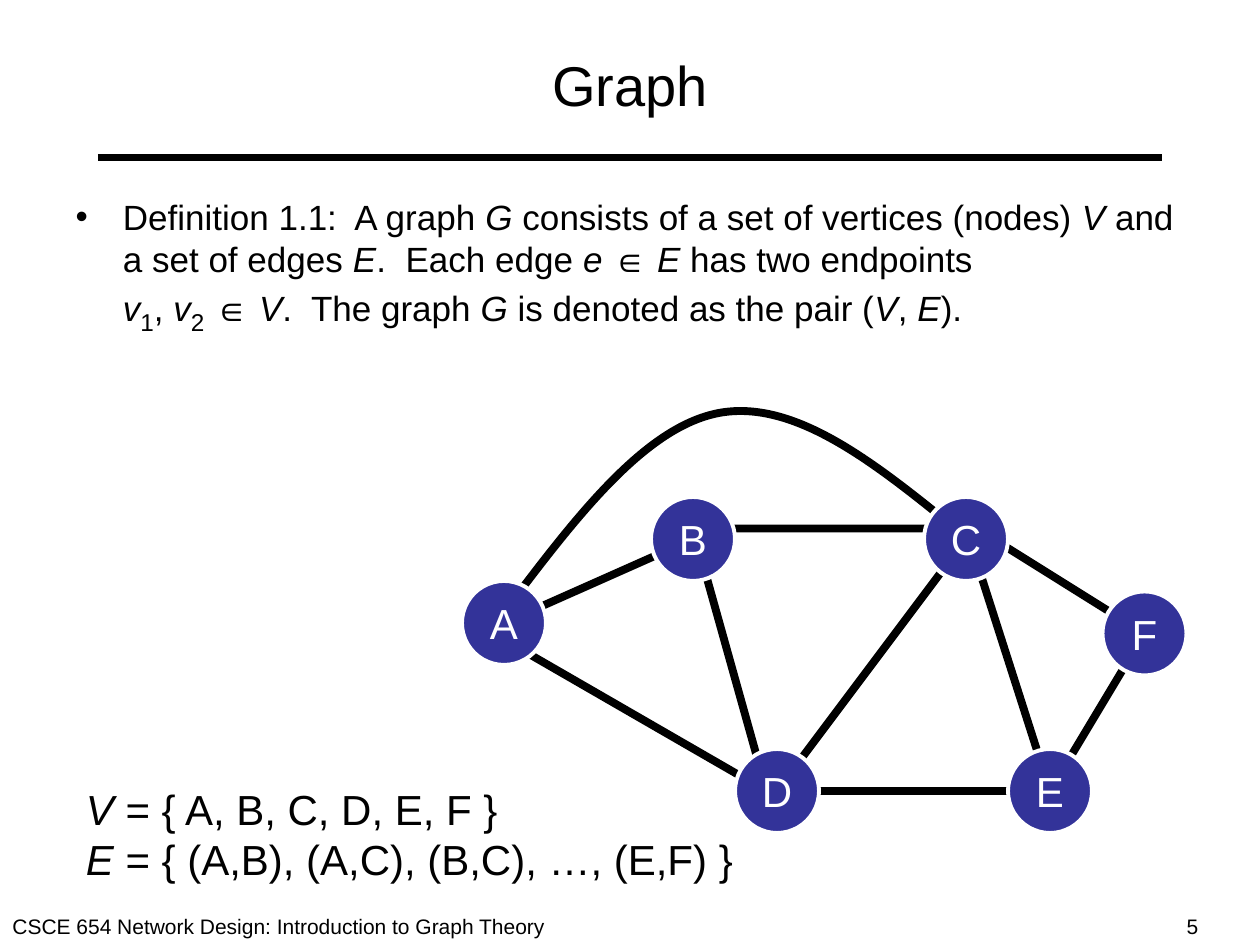
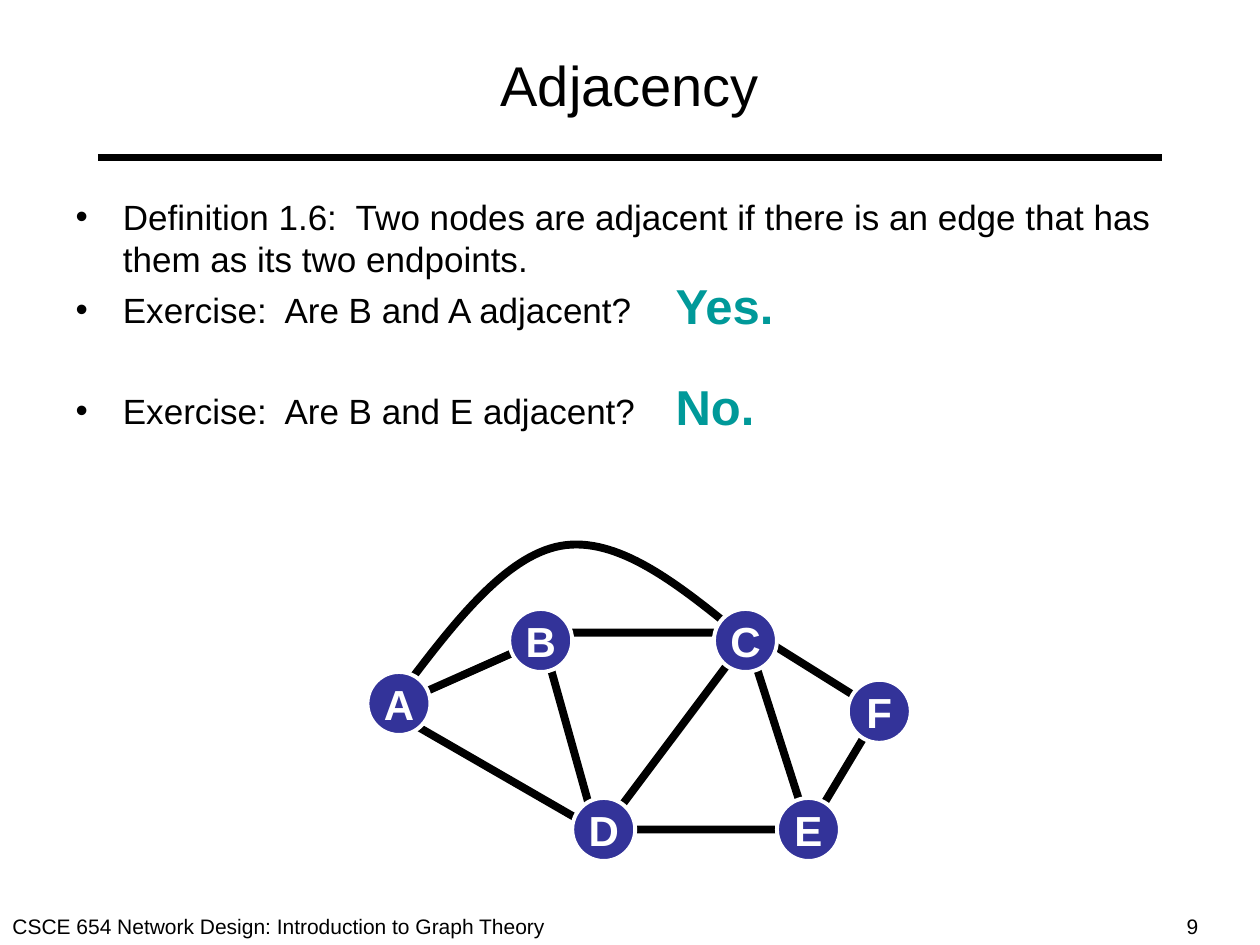
from lxml import etree
from pptx import Presentation
from pptx.dml.color import RGBColor
from pptx.enum.shapes import MSO_CONNECTOR, MSO_SHAPE
from pptx.enum.text import MSO_ANCHOR, MSO_AUTO_SIZE, PP_ALIGN
from pptx.oxml.ns import qn
from pptx.util import Pt

STRAIGHT = MSO_CONNECTOR.STRAIGHT
OVAL = MSO_SHAPE.OVAL
MIDDLE, TOP = MSO_ANCHOR.MIDDLE, MSO_ANCHOR.TOP
CENTER, LEFT = PP_ALIGN.CENTER, PP_ALIGN.LEFT
NO_AUTOFIT = MSO_AUTO_SIZE.NONE


class Theme:
    font = "Arial"
    ink = RGBColor(0x00, 0x00, 0x00)
    paper = RGBColor(0xFF, 0xFF, 0xFF)
    node = RGBColor(0x33, 0x33, 0x99)
    answer = RGBColor(0x00, 0x99, 0x99)
    title_size = 32
    body_size = 20
    subscript_size = 24
    label_size = 24
    answer_size = 28
    footer_size = 12
    edge_width = 4.5
    node_outline = 2.25


FOOTER = "CSCE 654 Network Design: Introduction to Graph Theory"

# Graph geometry in points, measured from the graph's own corner
NODES = {"B": (132, 80), "C": (288, 80), "D": (180, 224),
         "E": (336, 224), "A": (24, 128), "F": (390, 134)}
NODE_DIAMETER = 48
LOOP_BCED = [(132, 74), (288, 74), (336, 224), (174, 224)]
CURVE_CA = [(282, 74), (236.4, 37), (190.3, 0), (147, 8),
            (104, 16), (64, 69), (24, 122)]
STRAIGHT_EDGES = [(NODES["C"], NODES["D"]), (NODES["B"], NODES["A"]),
                  ((174, 224), (18, 134)), (NODES["F"], (294, 74)),
                  (NODES["E"], NODES["F"])]

# In the texts, *...* marks italics and ~...~ a subscript
SLIDES = [
    {
        "title": "Graph",
        "number": "5",
        "body": ["Definition 1.1:  A graph *G* consists of a set of vertices (nodes) *V* and "
                 "a set of edges *E*.  Each edge *e *∈ *E* has two endpoints\n"
                 "*v*~1~, *v*~2~ ∈ *V*.  The graph *G* is denoted as the pair (*V*, *E*)."],
        "body_height": 176,
        "spaces_before": [0],
        "graph": {"left": 264, "top": 228, "scale": 1, "bold": False},
        "boxes": [((42, 444, 390, 65),
                   ["*V* = { A, B, C, D, E, F }",
                    "*E* = { (A,B), (A,C), (B,C), …, (E,F) }"],
                   Theme.label_size, Theme.ink, False)],
    },
    {
        "title": "Adjacency",
        "number": "9",
        "body": ["Definition 1.6:  Two nodes are adjacent if there is an edge that has "
                 "them as its two endpoints.",
                 "Exercise:  Are B and A adjacent?",
                 "Exercise:  Are B and E adjacent?"],
        "body_height": 374,
        "spaces_before": [0, 5, 34],
        "graph": {"left": 210, "top": 306, "scale": 0.75, "bold": True},
        "boxes": [((379, 154, 72, 41), ["Yes."], Theme.answer_size, Theme.answer, True),
                  ((379, 211.5, 60, 41), ["No."], Theme.answer_size, Theme.answer, True)],
    },
]


def write_text(text_frame, lines, size, color, bold=False, alignment=LEFT):
    """Fill a text frame, turning the marks for italics and subscripts into runs."""
    text_frame.auto_size = NO_AUTOFIT
    for index, line in enumerate(lines):
        paragraph = text_frame.paragraphs[0] if index == 0 else text_frame.add_paragraph()
        paragraph.alignment = alignment
        for row_index, row in enumerate(line.split("\n")):
            if row_index:
                paragraph.add_line_break()
            for part_index, part in enumerate(row.split("*")):
                for piece_index, piece in enumerate(part.split("~")):
                    if not piece:
                        continue
                    run = paragraph.add_run()
                    run.text = piece
                    run.font.name = Theme.font
                    run.font.size = Pt(size)
                    run.font.color.rgb = color
                    run.font.bold = bold
                    run.font.italic = part_index % 2 == 1
                    if piece_index % 2:
                        run.font.size = Pt(Theme.subscript_size)
                        run.font._element.set("baseline", "-25000")


def add_line(shapes, start, end):
    """Draw a thick straight line without a shadow."""
    line = shapes.add_connector(STRAIGHT, Pt(start[0]), Pt(start[1]), Pt(end[0]), Pt(end[1]))
    line.line.color.rgb = Theme.ink
    line.line.width = Pt(Theme.edge_width)
    etree.SubElement(line._element.spPr, qn("a:effectLst"))


presentation = Presentation()
presentation.slide_width = Pt(720)
presentation.slide_height = Pt(540)

for content in SLIDES:
    slide = presentation.slides.add_slide(presentation.slide_layouts[1])

    # Rule under the title
    add_line(slide.shapes, (56, 90), (664, 90))

    # Title and body
    title, body = slide.placeholders
    title.left, title.top, title.width, title.height = Pt(36), Pt(12), Pt(648), Pt(72)
    title.text_frame.vertical_anchor = MIDDLE
    write_text(title.text_frame, [content["title"]], Theme.title_size, Theme.ink,
               alignment=CENTER)
    body.left, body.top, body.width = Pt(36), Pt(108), Pt(648)
    body.height = Pt(content["body_height"])
    body.text_frame.vertical_anchor = TOP
    write_text(body.text_frame, content["body"], Theme.body_size, Theme.ink)
    for paragraph, space in zip(body.text_frame.paragraphs, content["spaces_before"]):
        paragraph.space_before = Pt(space)

    # Graph edges: closed loop, curve and straight lines
    graph = content["graph"]
    left, top, scale = graph["left"], graph["top"], graph["scale"]
    group = slide.shapes.add_group_shape()
    for points, closed in ((LOOP_BCED, True), (CURVE_CA, False)):
        placed = [(Pt(left + x * scale), Pt(top + y * scale)) for x, y in points]
        builder = group.shapes.build_freeform(*placed[0])
        builder.add_line_segments(placed[1:], close=closed)
        outline = builder.convert_to_shape()
        outline.shadow.inherit = False
        outline.fill.background()
        outline.line.color.rgb = Theme.ink
        outline.line.width = Pt(Theme.edge_width)
        if not closed:
            # Each three points after the start make one Bézier segment
            segments = list(outline._element.iter(qn("a:lnTo")))
            outline_path = segments[0].getparent()
            for first in range(0, len(segments), 3):
                bezier = etree.SubElement(outline_path, qn("a:cubicBezTo"))
                for segment in segments[first:first + 3]:
                    bezier.append(segment[0])
                    outline_path.remove(segment)
    for edge in STRAIGHT_EDGES:
        start, end = [(left + x * scale, top + y * scale) for x, y in edge]
        add_line(group.shapes, start, end)

    # Graph nodes
    diameter = NODE_DIAMETER * scale
    for name, (x, y) in NODES.items():
        node = group.shapes.add_shape(
            OVAL, Pt(left + x * scale - diameter / 2), Pt(top + y * scale - diameter / 2),
            Pt(diameter), Pt(diameter))
        node.shadow.inherit = False
        node.fill.solid()
        node.fill.fore_color.rgb = Theme.node
        node.line.color.rgb = Theme.paper
        node.line.width = Pt(Theme.node_outline)
        node.text_frame.word_wrap = False
        node.text_frame.vertical_anchor = MIDDLE
        write_text(node.text_frame, [name], Theme.label_size, Theme.paper,
                   graph["bold"], CENTER)

    # Free text, footer and slide number
    footers = [((0, 518.4, 322, 21.6), [FOOTER], Theme.footer_size, Theme.ink, False),
               ((671, 518.4, 49, 21.6), [content["number"]], Theme.footer_size,
                Theme.ink, False)]
    for place, lines, size, color, bold in content["boxes"] + footers:
        box = slide.shapes.add_textbox(*[Pt(length) for length in place])
        box.text_frame.word_wrap = True
        write_text(box.text_frame, lines, size, color, bold)

presentation.save("out.pptx")
